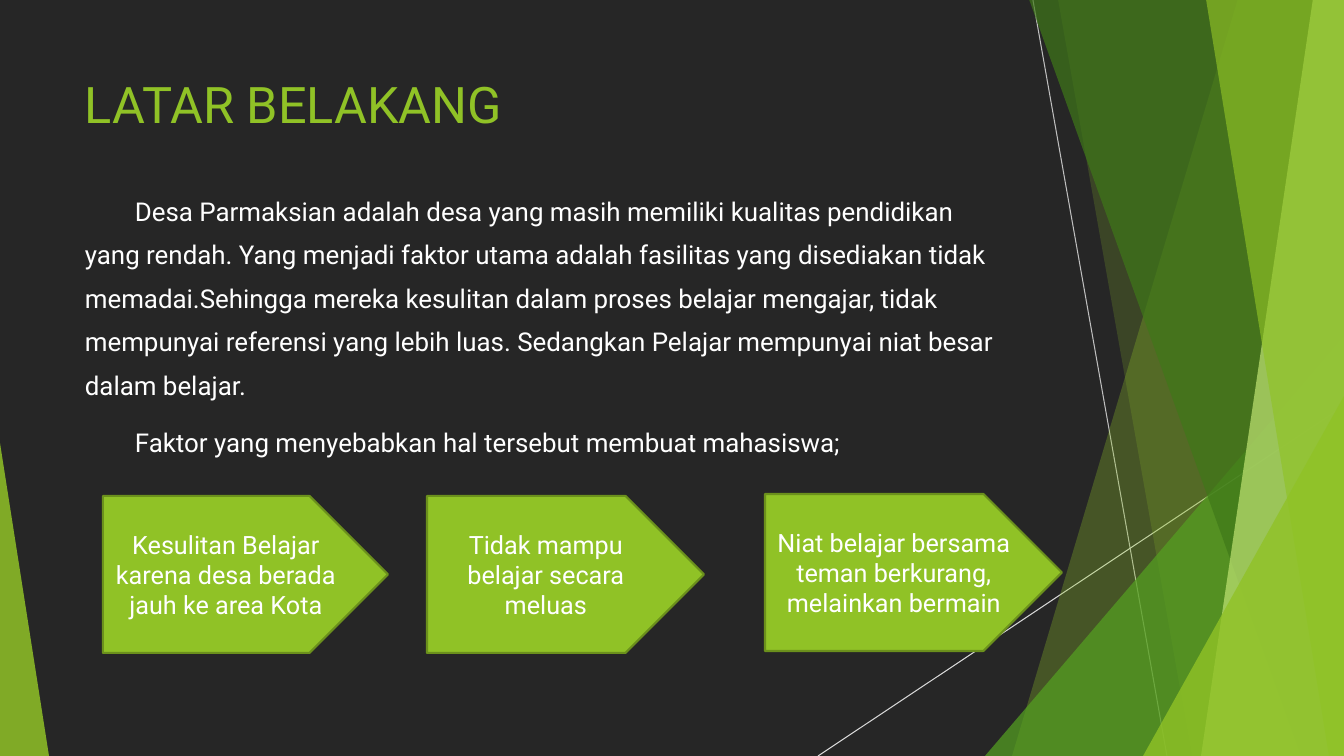
from dataclasses import dataclass

from lxml.etree import SubElement
from pptx import Presentation
from pptx.dml.color import RGBColor
from pptx.enum.shapes import MSO_CONNECTOR as Connector, MSO_SHAPE as Shape
from pptx.enum.text import MSO_ANCHOR as Anchor, PP_ALIGN as Align
from pptx.oxml.ns import qn
from pptx.util import Pt

PX = 914400 / 100.8
WIDTH, HEIGHT = 1344, 756


def px(length):
    return round(length * PX)


@dataclass(frozen=True)
class Theme:
    font: str = "Roboto"
    background: str = "262626"
    text: str = "FFFFFF"
    green: str = "90C226"
    green_edge: str = "6B901C"
    leaf: str = "54A021"
    forest: str = "3F7819"
    lime: str = "C0E474"
    line_dark: str = "BFBFBF"
    line_light: str = "D9D9D9"
    title_size: float = 36
    body_size: float = 18.5
    label_size: float = 18


class SlideBuilder:
    def __init__(self, slide, theme):
        self.slide = slide
        self.theme = theme
        self.paint(slide.background.fill, theme.background)

    def paint(self, fill, color, alpha=100):
        fill.solid()
        fill.fore_color.rgb = RGBColor.from_string(color)
        if alpha < 100:
            color_element = fill._xPr.find(qn("a:solidFill"))[0]
            SubElement(color_element, qn("a:alpha"), val=str(alpha * 1000))

    def facet(self, shape, color, alpha):
        shape.shadow.inherit = False
        self.paint(shape.fill, color, alpha)
        shape.line.fill.background()

    def line(self, start, end, color):
        connector = self.slide.shapes.add_connector(
            Connector.STRAIGHT, *map(px, start + end))
        self.paint(connector.line.fill, color)
        connector.line.width = Pt(0.75)
        SubElement(connector._element.spPr, qn("a:effectLst"))

    def band(self, top_x, bottom_x, color, alpha):
        builder = self.slide.shapes.build_freeform(top_x, -1, scale=PX)
        builder.add_line_segments(
            [(WIDTH, -1), (WIDTH, HEIGHT), (bottom_x, HEIGHT)], close=True)
        self.facet(builder.convert_to_shape(), color, alpha)

    def triangle(self, left, width, height, apex, color, alpha):
        shape = self.slide.shapes.add_shape(
            Shape.ISOSCELES_TRIANGLE,
            *map(px, (left, HEIGHT - height, width, height)))
        shape.adjustments[0] = apex
        self.facet(shape, color, alpha)

    def set_text(self, frame, texts, size, color, paragraph_format, indent=0):
        frame.word_wrap = True
        for index, text in enumerate(texts):
            paragraph = frame.add_paragraph() if index else frame.paragraphs[0]
            for name, value in paragraph_format.items():
                setattr(paragraph, name, value)
            if indent:
                paragraph._p.get_or_add_pPr().set("indent", str(px(indent)))
            run = paragraph.add_run()
            run.text = text
            for name, value in {"name": self.theme.font, "size": Pt(size)}.items():
                setattr(run.font, name, value)
            run.font.color.rgb = RGBColor.from_string(color)

    def text(self, box, texts, size, color, paragraph_format, indent=0, margin_right=9):
        frame = self.slide.shapes.add_textbox(*map(px, box)).text_frame
        frame.margin_right = px(margin_right)
        frame.vertical_anchor = Anchor.TOP
        self.set_text(frame, texts, size, color, paragraph_format, indent)

    def arrow(self, left, top, width, label):
        shape = self.slide.shapes.add_shape(
            Shape.PENTAGON, *map(px, (left, top, width, 157)))
        shape.shadow.inherit = False
        self.paint(shape.fill, self.theme.green)
        self.paint(shape.line.fill, self.theme.green_edge)
        shape.line.width = Pt(1.5)
        shape.text_frame.vertical_anchor = Anchor.MIDDLE
        self.set_text(shape.text_frame, [label], self.theme.label_size,
                      self.theme.text, {"alignment": Align.CENTER})


def main():
    theme = Theme()
    presentation = Presentation()
    presentation.slide_width, presentation.slide_height = px(WIDTH), px(HEIGHT)
    builder = SlideBuilder(
        presentation.slides.add_slide(presentation.slide_layouts[6]), theme)

    builder.line((1033, 0), (1167, HEIGHT), theme.line_dark)
    builder.line((WIDTH, 406), (818, HEIGHT), theme.line_light)

    builder.band(1238, 1012, theme.green, 30)
    builder.band(1058, 1192, theme.green, 20)
    builder.triangle(985, 359, 420, 1, theme.leaf, 72)
    builder.band(1029, 1301, theme.forest, 70)
    builder.band(1313, 1201, theme.lime, 70)
    builder.band(1206, 1329, theme.green, 65)
    builder.triangle(1143, 201, 360, 1, theme.green, 80)
    builder.triangle(0, 49, 313, 0, theme.green, 85)

    builder.text((75, 68, 948, 107), ["LATAR BELAKANG"], theme.title_size,
                 theme.green, {"alignment": Align.LEFT})
    builder.text(
        (75, 178, 948, 427),
        ["Desa Parmaksian adalah desa yang masih memiliki kualitas pendidikan "
         "yang rendah. Yang menjadi faktor utama adalah fasilitas yang "
         "disediakan tidak memadai.Sehingga mereka kesulitan dalam proses "
         "belajar mengajar, tidak mempunyai referensi yang lebih luas. "
         "Sedangkan Pelajar mempunyai niat besar dalam belajar.",
         "Faktor yang menyebabkan hal tersebut membuat mahasiswa;"],
        theme.body_size, theme.text,
        {"line_spacing": 1.4, "space_before": Pt(10)},
        indent=50, margin_right=18)

    for left, top, width, label in (
        (103, 496, 285, "Kesulitan Belajar karena desa berada jauh ke area Kota"),
        (427, 496, 277, "Tidak mampu belajar secara meluas"),
        (765, 494, 297, "Niat belajar bersama teman berkurang, melainkan bermain"),
    ):
        builder.arrow(left, top, width, label)

    presentation.save("out.pptx")


if __name__ == "__main__":
    main()
